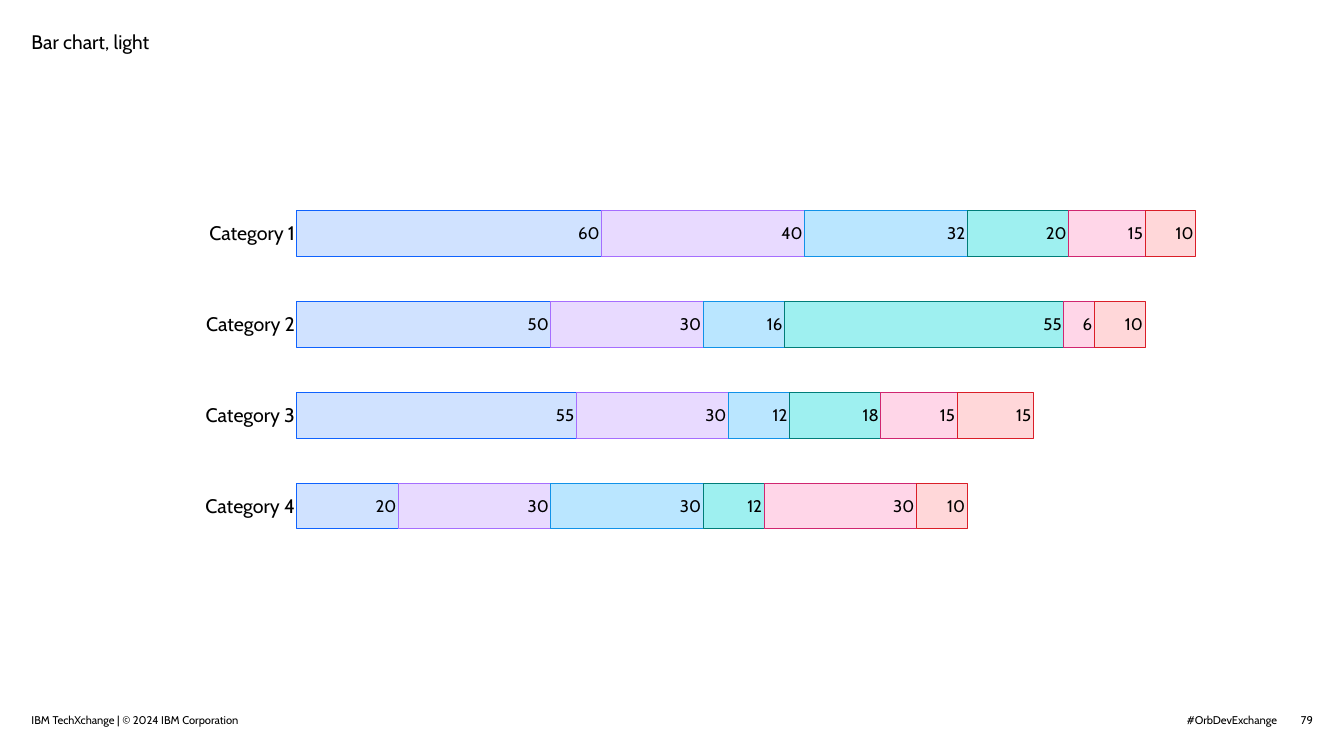
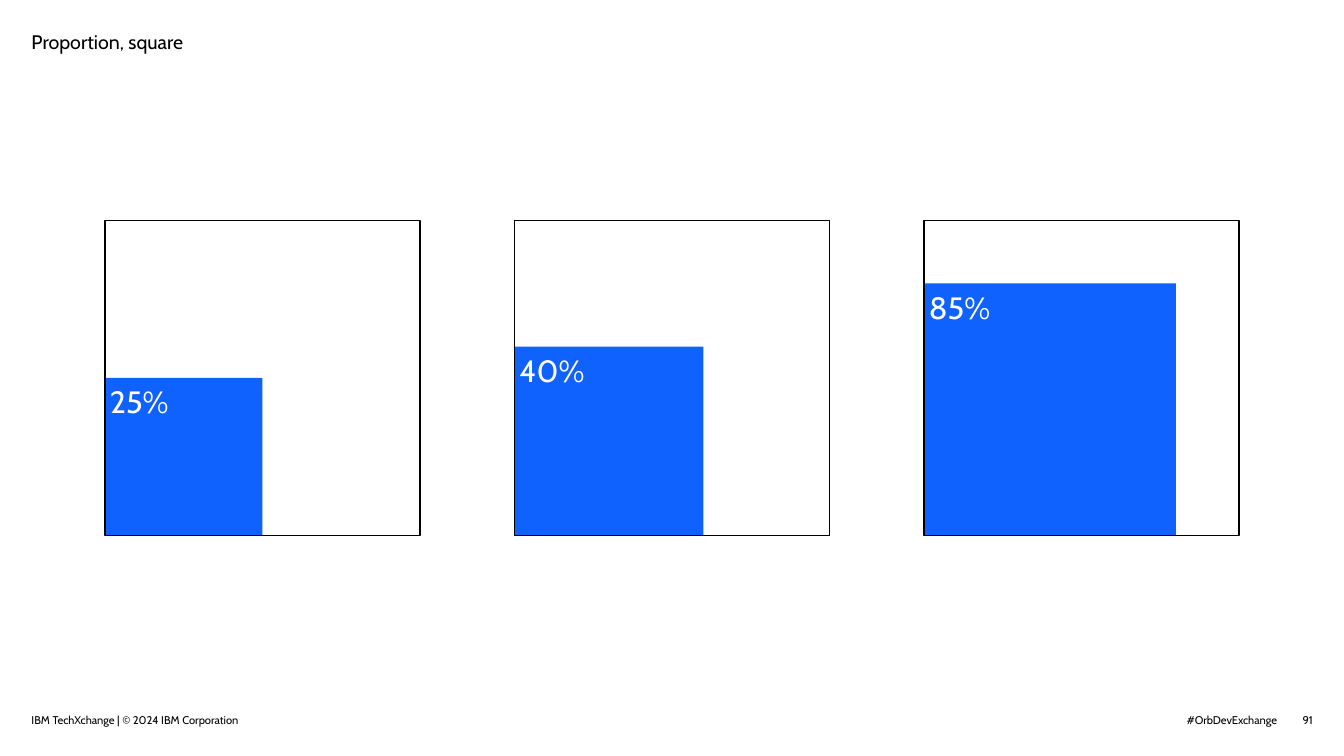
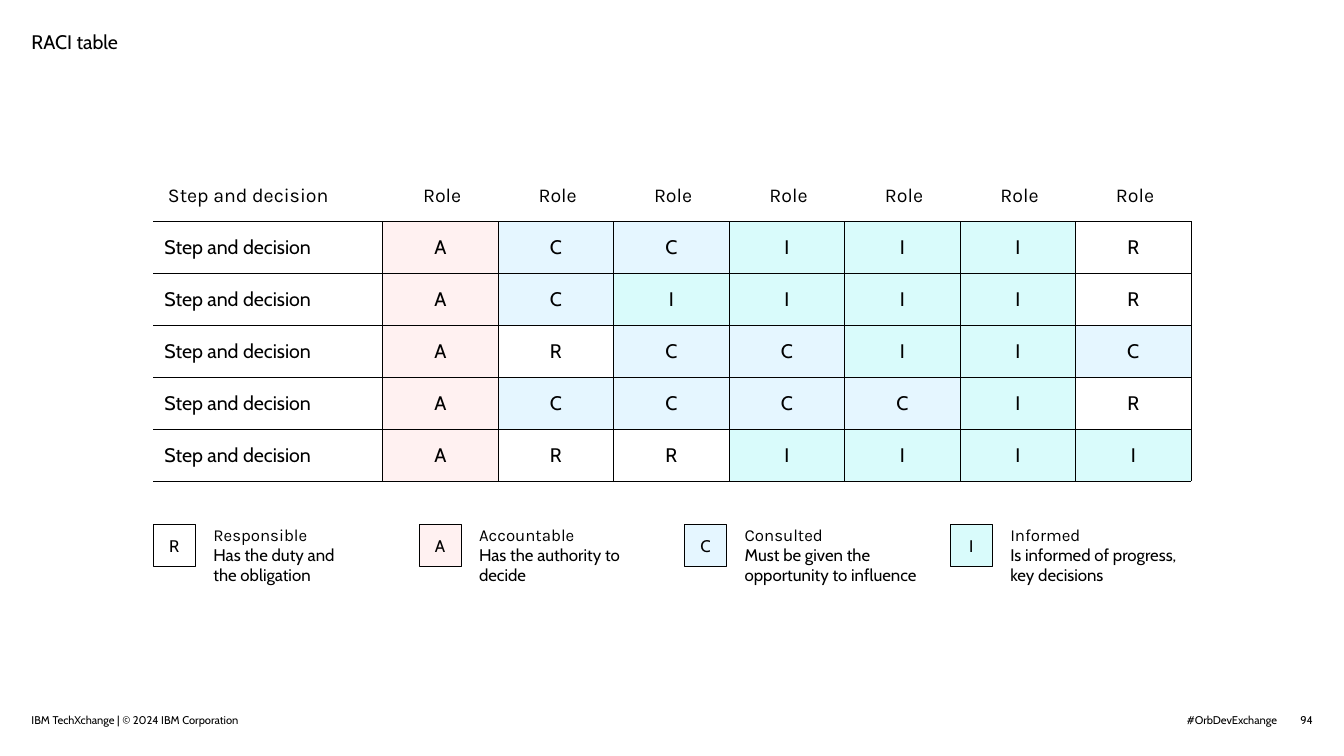
"""Build three slides: a stacked bar chart, proportion squares and a RACI table."""
from dataclasses import dataclass

from lxml.etree import SubElement as Sub
from pptx import Presentation
from pptx.chart.data import CategoryChartData as ChartData
from pptx.dml.color import RGBColor as Rgb
from pptx.enum.chart import XL_CHART_TYPE as Kind, XL_LABEL_POSITION as Spot, XL_TICK_MARK as Tick
from pptx.enum.shapes import MSO_SHAPE as Form
from pptx.enum.text import MSO_ANCHOR as Anchor, PP_ALIGN as Align
from pptx.oxml.ns import qn
from pptx.util import Emu, Pt


@dataclass(frozen=True)
class Theme:
    unit: int = 381000
    cols: int = 64
    rows: int = 36
    ink: str = "000000"
    paper: str = "FFFFFF"
    blue: str = "0F62FE"
    body: str = "Cabin"
    head: str = "Karla"
    large: int = 44
    title: int = 28
    label: int = 24
    small: int = 16


T = Theme()
FOOT = "IBM TechXchange | © 2024 IBM Corporation"
TAG = "#OrbDevExchange"

GROUPS = ["Category 4", "Category 3", "Category 2", "Category 1"]
SERIES = [
    ("Caption 1", (20, 55, 50, 60), "D0E2FF", "0F62FE"),
    ("Caption 2", (30, 30, 30, 40), "E8DAFF", "A56EFF"),
    ("Caption 3", (30, 12, 16, 32), "BAE6FF", "1192E8"),
    ("Caption 4", (12, 18, 55, 20), "9EF0F0", "007D79"),
    ("Caption 5", (30, 15, 6, 15), "FFD6E8", "D02670"),
    ("Caption 6", (10, 15, 10, 10), "FFD7D9", "DA1E28"),
]
PLOT = {"x": 0.144, "y": 0.148, "w": 0.856, "h": 0.673}

SQUARES = [("25%", 0.5), ("40%", 0.6), ("85%", 0.8)]

STEP, ROLE = "Step and decision", "Role"
GRID = ["ACCIIIR", "ACIIIIR", "ARCCIIC", "ACCCCIR", "ARRIIII"]
TINTS = {"R": T.paper, "A": "FFF1F1", "C": "E5F6FF", "I": "D9FBFB"}
KEY = [
    ("R", "Responsible", "Has the duty and\vthe obligation", 7.5),
    ("A", "Accountable", "Has the authority to decide", 6.77),
    ("C", "Consulted", "Must be given the opportunity to influence", 8.5),
    ("I", "Informed", "Is informed of progress, key decisions", 8.5),
]


def span(*sizes):
    return [Emu(round(size * T.unit)) for size in sizes]


def style(font, size, color=T.ink, face=T.body):
    font.name, font.size, font.color.rgb = face, Pt(size), Rgb.from_string(color)


def write(frame, *lines, size=T.title, color=T.ink, faces=(T.body,), align=Align.LEFT,
          anchor=Anchor.TOP, pads=(0, 0, 0, 0), wrap=True, lead=None):
    frame.word_wrap, frame.vertical_anchor = wrap, anchor
    frame.margin_left, frame.margin_top, frame.margin_right, frame.margin_bottom = span(*pads)
    for i, (line, face) in enumerate(zip(lines, faces)):
        para = frame.add_paragraph() if i else frame.paragraphs[0]
        para.text, para.alignment, para.line_spacing = line, align, lead
        for run in para.runs:
            style(run.font, size, color, face)


def label(slide, box, *lines, **look):
    write(slide.shapes.add_textbox(*span(*box)).text_frame, *lines, **look)


def rect(shapes, box, fill=None, line=0):
    shape = shapes.add_shape(Form.RECTANGLE, *span(*box))
    shape.shadow.inherit = False
    if fill:
        shape.fill.solid()
        shape.fill.fore_color.rgb = Rgb.from_string(fill)
    else:
        shape.fill.background()
    if line:
        shape.line.color.rgb, shape.line.width = Rgb.from_string(T.ink), Pt(line)
    else:
        shape.line.fill.background()
    return shape


def page(deck, title, number):
    slide = deck.slides.add_slide(deck.slide_layouts[6])
    slide.background.fill.solid()
    slide.background.fill.fore_color.rgb = Rgb.from_string(T.paper)
    label(slide, (55.97, 33.96, 4.85, 0.65), TAG, size=T.small, align=Align.RIGHT)
    label(slide, (1.5, 1.32, 13, 4), title, lead=1.1)
    label(slide, (61.8, 33.96, 0.72, 0.65), str(number), size=T.small,
          align=Align.RIGHT, anchor=Anchor.MIDDLE, wrap=False)
    label(slide, (1.5, 33.6, 13, 1), FOOT, size=T.small, anchor=Anchor.BOTTOM)
    return slide


def pin(chart):
    area = chart._chartSpace.chart.plotArea
    for old in area.findall(qn("c:layout")):
        area.remove(old)
    outer = Sub(area, qn("c:layout"))
    area.insert(0, outer)
    inner = Sub(outer, qn("c:manualLayout"))
    Sub(inner, qn("c:layoutTarget")).set("val", "inner")
    for axis in "xy":
        Sub(inner, qn(f"c:{axis}Mode")).set("val", "edge")
    for side, share in PLOT.items():
        Sub(inner, qn(f"c:{side}")).set("val", str(share))


def bars(slide):
    data = ChartData(number_format="General")
    data.categories = GROUPS
    for name, vals, *_ in SERIES:
        data.add_series(name, vals)
    box = span(6, 5.14, 56.5, 25.73)
    chart = slide.shapes.add_chart(Kind.BAR_STACKED, *box, data).chart
    chart.has_legend = chart.has_title = False
    style(chart.font, T.label)
    cats, vals, plot = chart.category_axis, chart.value_axis, chart.plots[0]
    style(cats.tick_labels.font, T.title)
    cats.format.line.fill.background()
    cats.major_tick_mark = cats.minor_tick_mark = Tick.NONE
    vals.visible = vals.has_major_gridlines = False
    vals.minimum_scale, vals.maximum_scale = 0, 200
    plot.gap_width, plot.overlap, plot.vary_by_categories = 100, 100, False
    for bar, (_, _, fill, edge) in zip(plot.series, SERIES):
        bar.format.fill.solid()
        bar.format.fill.fore_color.rgb = Rgb.from_string(fill)
        bar.format.line.color.rgb, bar.format.line.width = Rgb.from_string(edge), Pt(1)
        tags = bar.data_labels
        tags.show_value, tags.position = True, Spot.INSIDE_END
        style(tags.font, T.label)
    pin(chart)


def squares(slide):
    side, step, left, top = 15, 19.5, 5, 10.5
    for i, (text, share) in enumerate(SQUARES):
        x, part = left + i * step, side * share
        group = slide.shapes.add_group_shape().shapes
        block = rect(group, (x, top + side - part, part, part), T.blue)
        write(block.text_frame, text, size=T.large, color=T.paper, pads=(0.24,) * 4)
        rect(group, (x, top, side, side), line=1.5)


def edge(cell, sides):
    props = cell._tc.get_or_add_tcPr()
    for i, side in enumerate("LRTB"):
        line = Sub(props, qn(f"a:ln{side}"), w=str(Pt(1)))
        props.insert(i, line)
        if side in sides:
            Sub(Sub(line, qn("a:solidFill")), qn("a:srgbClr"), val=T.ink)
        else:
            Sub(line, qn("a:noFill"))


def raci(slide, left=7.3, top=8.09, wide=10.92, slim=5.5, high=2.47):
    rows = [[STEP] + [ROLE] * len(GRID[0])] + [[STEP, *marks] for marks in GRID]
    widths = [wide] + [slim] * len(GRID[0])
    box = span(left, top, sum(widths), high * len(rows))
    table = slide.shapes.add_table(len(rows), len(widths), *box).table
    table.first_row = table.horz_banding = False
    for col, width in zip(table.columns, span(*widths)):
        col.width = width
    for r, row in enumerate(rows):
        table.rows[r].height = span(high)[0]
        for c, text in enumerate(row):
            cell = table.cell(r, c)
            write(cell.text_frame, text, faces=(T.body if r else T.head,),
                  align=Align.CENTER if c else Align.LEFT)
            cell.vertical_anchor = Anchor.MIDDLE
            cell.margin_left, cell.margin_right = span(0.53 if r else 0.7, 0.53)
            cell.margin_top = cell.margin_bottom = span(0.26)[0]
            if text in TINTS:
                cell.fill.solid()
                cell.fill.fore_color.rgb = Rgb.from_string(TINTS[text])
            else:
                cell.fill.background()
            edge(cell, "B" if not r else "LRTB" if c else "RTB")


def legend(slide, left=7.3, top=24.98, step=12.65, gap=2.86):
    for i, (mark, name, text, width) in enumerate(KEY):
        x = left + i * step
        chip = rect(slide.shapes, (x, top, 2, 2), TINTS[mark], 1)
        write(chip.text_frame, mark, size=T.label, align=Align.CENTER,
              anchor=Anchor.MIDDLE, pads=(0.34,) * 4, wrap=False)
        label(slide, (x + gap, top, width, 2.9), name, text, size=T.label,
              faces=(T.head, T.body))


def main():
    deck = Presentation()
    deck.slide_width, deck.slide_height = span(T.cols, T.rows)
    bars(page(deck, "Bar chart, light", 79))
    squares(page(deck, "Proportion, square", 91))
    table = page(deck, "RACI table", 94)
    raci(table)
    legend(table)
    deck.save("out.pptx")


if __name__ == "__main__":
    main()
